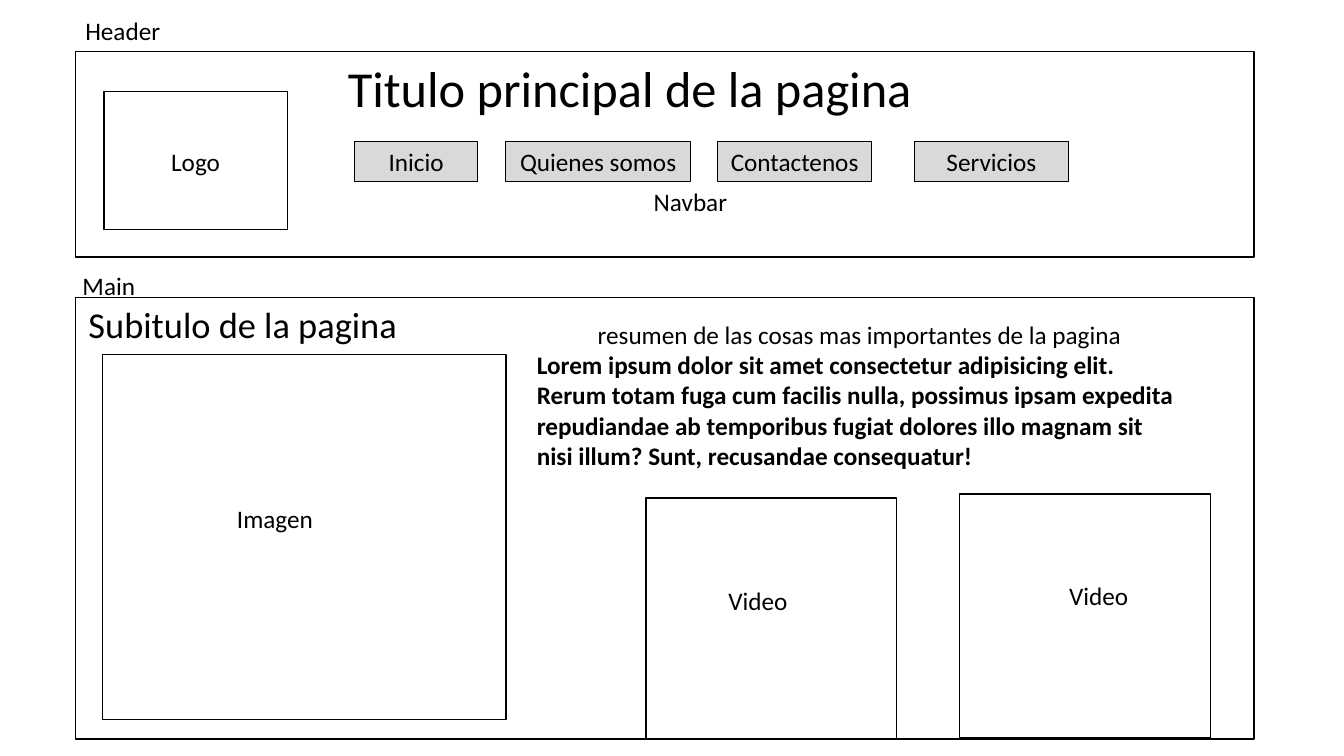
from pptx import Presentation
from pptx import util as u
from pptx.dml.color import RGBColor
from pptx.enum import shapes, text

BLACK, WHITE, GREY = "000000", "FFFFFF", "D9D9D9"
LEFT, CENTER = text.PP_ALIGN.LEFT, text.PP_ALIGN.CENTER
LABEL_WIDTH, LABEL_HEIGHT = 3.1, 1.02
FRAME_LEFT, FRAME_WIDTH = 1.9, 29.7
NAV_TOP = 3.56
SUMMARY_HEADING = "resumen de las cosas mas importantes de la pagina"
SUMMARY_BODY = (
    "Lorem ipsum dolor sit amet consectetur adipisicing elit. Rerum totam fuga cum "
    "facilis nulla, possimus ipsam expedita repudiandae ab temporibus fugiat dolores "
    "illo magnam sit nisi illum? Sunt, recusandae consequatur!"
)


def color(hex_string):
    """Turn a hex string into a colour."""
    return RGBColor.from_string(hex_string)


def format_paragraph(paragraph, size=18, align=LEFT, bold=False):
    """Set the alignment of a paragraph and the font of its runs."""
    paragraph.alignment = align
    for run in paragraph.runs:
        run.font.name = "Calibri"
        run.font.size = u.Pt(size)
        run.font.bold = bold
        run.font.color.rgb = color(BLACK)


def set_frame(text_frame):
    """Wrap the text and anchor it at the top without resizing."""
    text_frame.word_wrap = True
    text_frame.auto_size = text.MSO_AUTO_SIZE.NONE
    text_frame.vertical_anchor = text.MSO_ANCHOR.TOP


def add_box(slide, left, top, width, height, fill=WHITE, line_width=1):
    """Add an outlined rectangle."""
    box = slide.shapes.add_shape(
        shapes.MSO_SHAPE.RECTANGLE, u.Cm(left), u.Cm(top), u.Cm(width), u.Cm(height)
    )
    box.shadow.inherit = False
    box.fill.solid()
    box.fill.fore_color.rgb = color(fill)
    box.line.color.rgb = color(BLACK)
    box.line.width = u.Pt(line_width)
    return box


def add_button(slide, caption, left, width):
    """Add a grey button of the navigation bar."""
    button = add_box(slide, left, NAV_TOP, width, LABEL_HEIGHT, GREY, 0.75)
    set_frame(button.text_frame)
    button.text_frame.text = caption
    format_paragraph(button.text_frame.paragraphs[0], align=CENTER)


def add_text(slide, content, left, top, width=LABEL_WIDTH, height=LABEL_HEIGHT,
             size=18, align=LEFT):
    """Add a text box and return its text frame."""
    text_box = slide.shapes.add_textbox(u.Cm(left), u.Cm(top), u.Cm(width), u.Cm(height))
    set_frame(text_box.text_frame)
    text_box.text_frame.text = content
    format_paragraph(text_box.text_frame.paragraphs[0], size, align)
    return text_box.text_frame


def place_title(slide, content, frame):
    """Fill the title placeholder and put it in front of the header frame."""
    title = slide.shapes.title
    title.left, title.top = u.Cm(8.51), u.Cm(1.3)
    title.width, title.height = u.Cm(16.48), u.Cm(1.8)
    set_frame(title.text_frame)
    title.text_frame.text = content
    format_paragraph(title.text_frame.paragraphs[0], 36)
    frame.element.addnext(title.element)


def add_header(slide):
    """Build the header with its title, logo box and navigation bar."""
    frame = add_box(slide, FRAME_LEFT, 1.3, FRAME_WIDTH, 5.18)
    place_title(slide, "Titulo principal de la pagina", frame)
    add_text(slide, "Header", FRAME_LEFT, 0.25)
    add_box(slide, 2.62, 2.31, 4.62, 3.48)
    add_text(slide, "Logo", 3.38, NAV_TOP, align=CENTER)
    for caption, left, width in (
        ("Inicio", 8.94, 3.1),
        ("Quienes somos", 12.75, 4.65),
        ("Contactenos", 18.08, 3.89),
        ("Servicios", 23.04, 3.89),
    ):
        add_button(slide, caption, left, width)
    add_text(slide, "Navbar", 15.85, 4.57, align=CENTER)


def add_summary(slide):
    """Add the summary heading and its bold paragraph."""
    text_frame = add_text(slide, SUMMARY_HEADING, 13.28, 7.92, 16.76, 4.11, align=CENTER)
    paragraph = text_frame.add_paragraph()
    paragraph.text = SUMMARY_BODY
    format_paragraph(paragraph, bold=True)


def add_main(slide):
    """Build the main section with its summary and media boxes."""
    add_box(slide, FRAME_LEFT, 7.49, FRAME_WIDTH, 11.13)
    add_text(slide, "Main", 1.83, 6.68)
    add_text(slide, "Subitulo de la pagina", 1.98, 7.49, 16.48, 1.37, size=26)
    add_summary(slide)
    for caption, box, label in (
        ("Imagen", (2.59, 8.94, 10.16, 9.19), (5.38, 12.55)),
        ("Video", (24.18, 12.45, 6.32, 6.15), (26.14, 14.5)),
        ("Video", (16.28, 12.55, 6.32, 6.07), (17.55, 14.63)),
    ):
        add_box(slide, *box)
        add_text(slide, caption, *label, align=CENTER)


def main():
    """Build the wireframe slide and save it."""
    presentation = Presentation()
    presentation.slide_width, presentation.slide_height = u.Cm(33.87), u.Cm(19.05)
    slide = presentation.slides.add_slide(presentation.slide_layouts[5])
    add_header(slide)
    add_main(slide)
    presentation.save("out.pptx")


if __name__ == "__main__":
    main()
